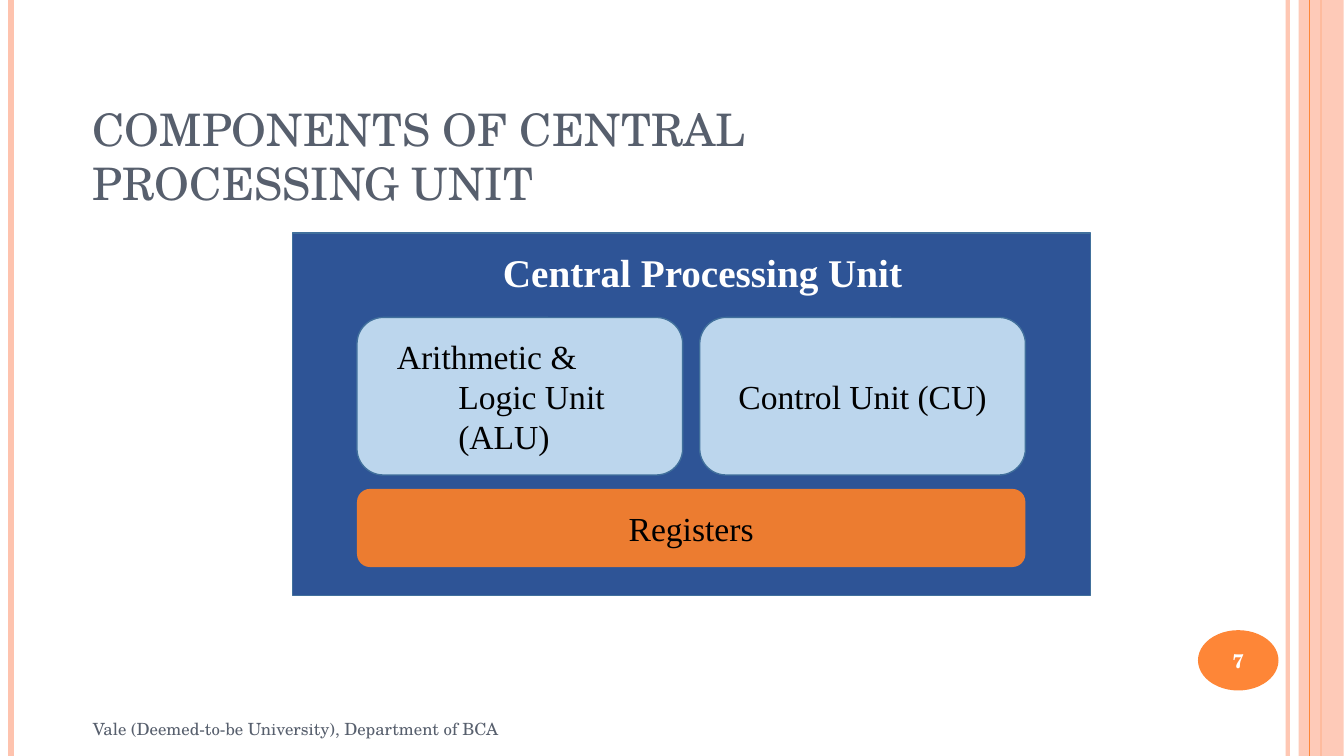
from pptx import Presentation
from pptx.dml.color import RGBColor
from pptx.enum.shapes import MSO_CONNECTOR, MSO_SHAPE
from pptx.enum.text import MSO_ANCHOR, MSO_AUTO_SIZE, PP_ALIGN
from pptx.oxml.ns import qn
from pptx.util import Cm, Pt
from lxml import etree

RECT, ROUND, OVAL = MSO_SHAPE.RECTANGLE, MSO_SHAPE.ROUNDED_RECTANGLE, MSO_SHAPE.OVAL
LINE = MSO_CONNECTOR.STRAIGHT
LEFT, MID = PP_ALIGN.LEFT, PP_ALIGN.CENTER
TOP, CENTER = MSO_ANCHOR.TOP, MSO_ANCHOR.MIDDLE
FIXED = MSO_AUTO_SIZE.NONE

HUES = {
    "peach": "FEC3AE", "orange": "FE8637", "slate": "575F6D",
    "navy": "2E5496", "edge": "41709C", "sky": "BCD6ED",
    "amber": "EC7C30", "black": "000000", "white": "FFFFFF",
}
SCHOLA, TIMES = "TeX Gyre Schola", "Times New Roman"
WIDE, HIGH = 33.88, 19.05


class Deck:
    def __init__(self):
        self.prs = Presentation()
        self.prs.slide_width, self.prs.slide_height = Cm(WIDE), Cm(HIGH)
        self.slide = self.prs.slides.add_slide(self.prs.slide_layouts[5])

    def paint(self, part, hue, alpha=100):
        """Give a fill a solid colour with the given opacity in percent."""
        part.solid()
        part.fore_color.rgb = RGBColor.from_string(HUES[hue])
        if alpha < 100:
            color = part._xPr.find(qn("a:solidFill"))[0]
            etree.SubElement(color, qn("a:alpha"), val=str(alpha * 1000))

    def text(self, shape, words, size, hue, font=TIMES, bold=False,
             align=MID, anchor=CENTER, inset=(0, 0, 0, 0), hang=0):
        frame = shape.text_frame
        frame.text = words
        frame.word_wrap, frame.auto_size = True, FIXED
        frame.vertical_anchor = anchor
        (frame.margin_left, frame.margin_top,
         frame.margin_right, frame.margin_bottom) = map(Cm, inset)
        par = frame.paragraphs[0]
        par.alignment = align
        par.font.size, par.font.name, par.font.bold = Pt(size), font, bold
        par.font.color.rgb = RGBColor.from_string(HUES[hue])
        if hang:
            props = par._p.get_or_add_pPr()
            props.set("marL", str(Cm(hang)))
            props.set("indent", str(-Cm(hang)))

    def title(self, box, words, size):
        shape = self.slide.shapes.title
        shape.left, shape.top, shape.width, shape.height = map(Cm, box)
        self.text(shape, words, size, "slate", SCHOLA, align=LEFT, anchor=TOP)

    def label(self, box, words, size):
        shape = self.slide.shapes.add_textbox(*map(Cm, box))
        self.text(shape, words, size, "slate", SCHOLA, align=LEFT)

    def shape(self, kind, box, fill, edge=None, alpha=100):
        shape = self.slide.shapes.add_shape(kind, *map(Cm, box))
        shape.shadow.inherit = False
        self.paint(shape.fill, fill, alpha)
        if edge:
            self.paint(shape.line.fill, edge)
            shape.line.width = Pt(0.96)
        else:
            shape.line.fill.background()
        return shape

    def rule(self, x, hue, width, alpha=100):
        """Draw a line down the full height of the slide."""
        line = self.slide.shapes.add_connector(LINE, Cm(x), 0, Cm(x), Cm(HIGH))
        line.line.width = Pt(width)
        self.paint(line.line.fill, hue, alpha)
        etree.SubElement(line._element.spPr, qn("a:effectLst"))


deck = Deck()

# Side stripes
deck.rule(32.46, "peach", 3, 93)
deck.rule(0.28, "peach", 4.5)
deck.rule(33.3, "orange", 1.5)
deck.shape(RECT, (32.74, 0, 1.13, HIGH), "peach", alpha=87)
deck.rule(33.02, "orange", 0.75)

# Title
deck.title((2.34, 2.57, 18.34, 2.74), "COMPONENTS OF CENTRAL PROCESSING UNIT", 32)

# Processor panel
panel = deck.shape(RECT, (7.37, 5.87, 20.12, 9.13), "navy", "edge")
deck.text(panel, "Central Processing Unit", 28, "white", bold=True,
          anchor=TOP, inset=(0.56, 0.4, 0, 0))

# Two units side by side, registers below
x, y, wide, high, gap = 9, 8, 8.21, 3.97, 0.43
units = [
    ("Arithmetic & Logic Unit (ALU)",
     {"align": LEFT, "inset": (0.81, 0, 0.4, 0), "hang": 1.55}),
    ("Control Unit (CU)", {}),
]
for i, (words, style) in enumerate(units):
    unit = deck.shape(ROUND, (x + i * (wide + gap), y, wide, high), "sky", "edge")
    deck.text(unit, words, 24, "black", **style)
store = deck.shape(ROUND, (x, 12.32, 2 * wide + gap, 1.97), "amber")
deck.text(store, "Registers", 24, "black")

# Page number and footer
badge = deck.shape(OVAL, (30.2, 15.88, 2.03, 1.52), "orange")
deck.text(badge, "7", 14, "white", SCHOLA, bold=True)
deck.label((2.34, 17.7, 14.8, 1.35),
           "Vale (Deemed-to-be University), Department of BCA", 12)

deck.prs.save("out.pptx")
